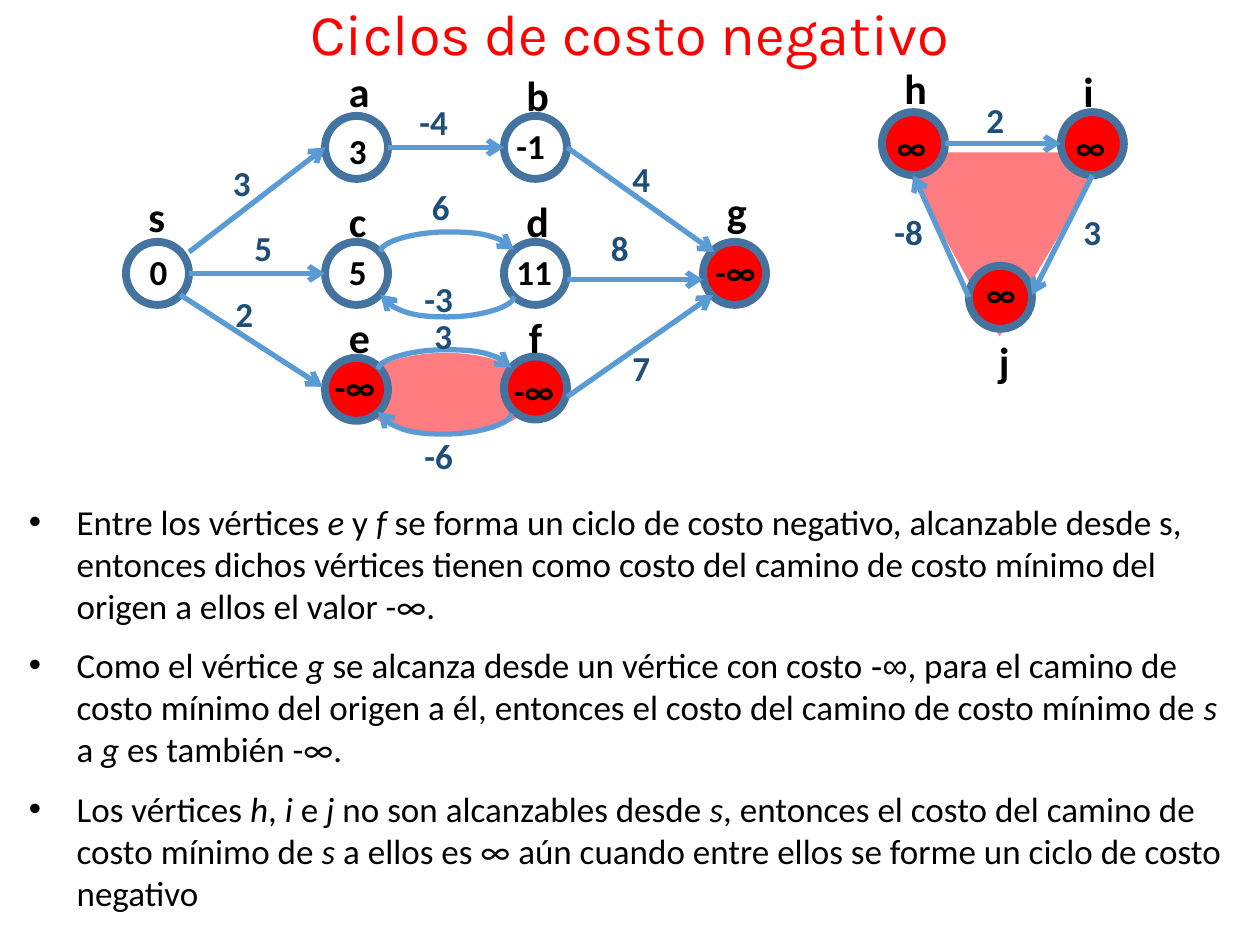
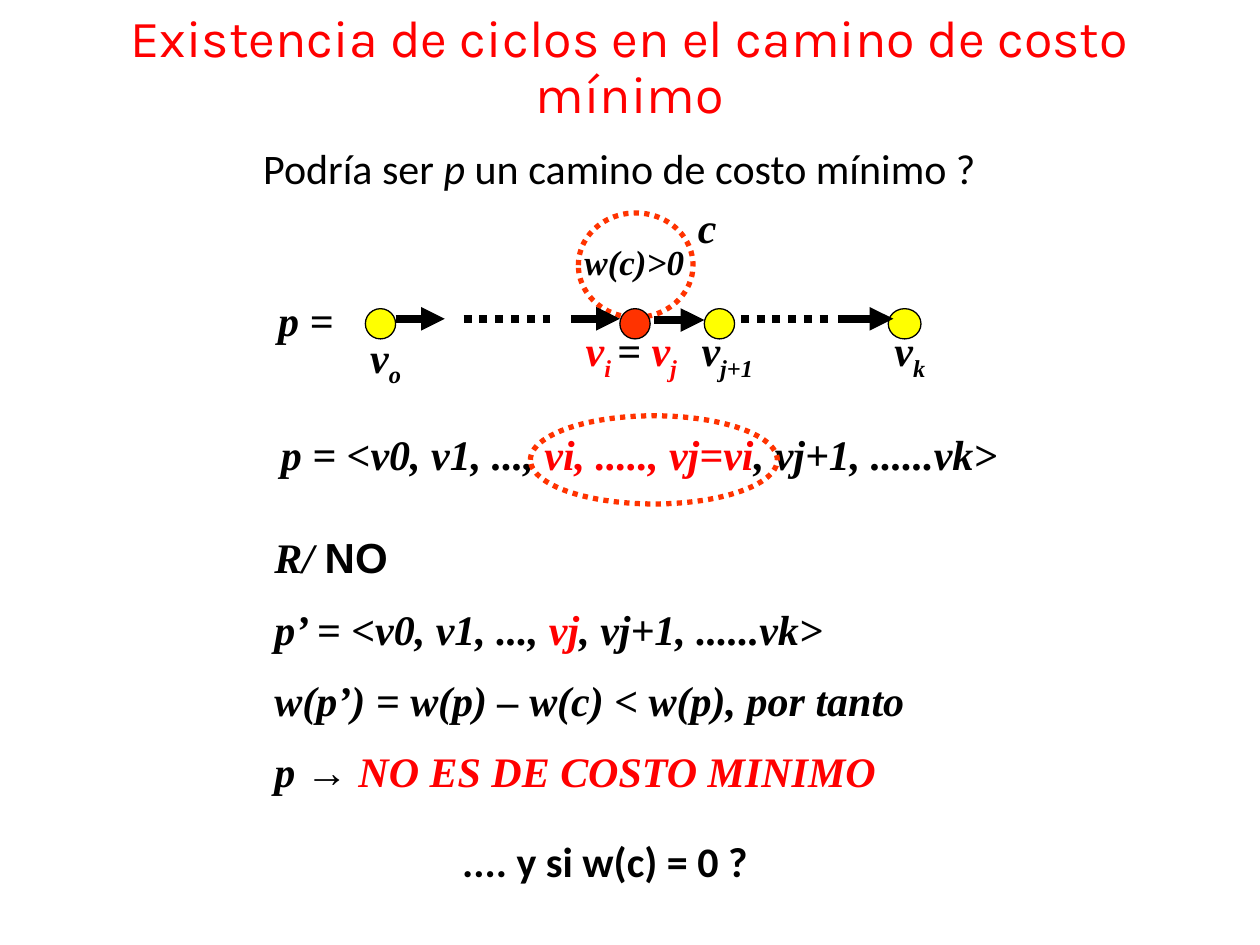
from dataclasses import dataclass

from lxml import etree
from pptx import Presentation
from pptx.dml.color import RGBColor
from pptx.enum.dml import MSO_LINE
from pptx.enum.shapes import MSO_CONNECTOR, MSO_SHAPE
from pptx.enum.text import MSO_ANCHOR, PP_ALIGN
from pptx.oxml.ns import qn
from pptx.util import Inches, Pt

OVAL = MSO_SHAPE.OVAL
TRIANGLE = MSO_SHAPE.ISOSCELES_TRIANGLE
STRAIGHT = MSO_CONNECTOR.STRAIGHT
CURVE = MSO_CONNECTOR.CURVE
DOTS = MSO_LINE.ROUND_DOT
CENTER = PP_ALIGN.CENTER
MIDDLE = MSO_ANCHOR.MIDDLE

COLUMNS, ROWS = 100, 75
VERTEX = 5
VALUE_BOX = (6.7, 4.4)
WEIGHT_BOX = (5, 4.4)
NAME_BOX = (6.7, 5)
ARC_SPAN, ARC_DRIFT = 10.6, 0.14


@dataclass(frozen=True)
class Theme:
    red: str = "FF0000"
    pink: str = "FF7C80"
    ring: str = "43739E"
    edge: str = "5B9BD5"
    weight: str = "1F4E79"
    black: str = "000000"
    yellow: str = "FFFF00"
    orange: str = "FF3300"
    title_font: str = "Karla"
    body_font: str = "Calibri"
    math_font: str = "Times New Roman"
    plain_font: str = "Arial"
    title: float = 33
    long_title: float = 29.7
    large: float = 24
    medium: float = 20


T = Theme()
ITALIC = {"italic": True}
RED = {"color": T.red}
SUB = {"sub": True}
RED_SUB = {**RED, **SUB}
BOLD = {"bold": True}
MATH = {"font": T.math_font, "bold": True, "italic": True}


class Deck:
    def __init__(self):
        self.prs = Presentation()
        self.prs.slide_width, self.prs.slide_height = Inches(10), Inches(7.5)
        self.s = None

    def slide(self, title, top, size):
        self.s = self.prs.slides.add_slide(self.prs.slide_layouts[6])
        tf = self.text((2.5, top, 95, 7.5), [[title]], size, pct=0,
                       font=T.title_font, color=T.red)
        tf.vertical_anchor = MIDDLE
        tf.paragraphs[0].alignment = CENTER
        tf.paragraphs[0].line_spacing = 0.9

    def x(self, columns):
        return round(self.prs.slide_width * columns / COLUMNS)

    def y(self, rows):
        return round(self.prs.slide_height * rows / ROWS)

    def box(self, left, top, width, height):
        return self.x(left), self.y(top), self.x(width), self.y(height)

    def stroke(self, line, color, width, dash=None):
        line.color.rgb = RGBColor.from_string(color)
        line.width = Pt(width)
        if dash:
            line.dash_style = dash

    def shape(self, kind, at, fill=None, stroke=None):
        sp = self.s.shapes.add_shape(kind, *self.box(*at))
        sp.shadow.inherit = False
        if fill:
            sp.fill.solid()
            sp.fill.fore_color.rgb = RGBColor.from_string(fill)
        else:
            sp.fill.background()
        if stroke:
            self.stroke(sp.line, *stroke)
        else:
            sp.line.fill.background()
        return sp

    def line(self, start, end, stroke, kind=STRAIGHT, **heads):
        c = self.s.shapes.add_connector(
            kind, self.x(start[0]), self.y(start[1]), self.x(end[0]), self.y(end[1]))
        self.stroke(c.line, *stroke)
        ln = c.element.spPr.find(qn("a:ln"))
        for name, head in heads.items():
            etree.SubElement(ln, qn(f"a:{name}"), type=head)
        etree.SubElement(c.element.spPr, qn("a:effectLst"))
        return c

    def arc(self, cx, cy, up, stroke):
        left, right = cx - ARC_DRIFT / 2, cx + ARC_DRIFT / 2
        top, bottom = cy - ARC_SPAN / 2, cy + ARC_SPAN / 2
        if up:
            start, end, turn, bulge, head = (right, bottom), (left, top), 90, 11, "tailEnd"
        else:
            start, end, turn, bulge, head = (right, top), (left, bottom), 270, 12.5, "headEnd"
        c = self.line(start, end, stroke, CURVE, **{head: "arrow"})
        spPr = c.element.spPr
        spPr.find(qn("a:xfrm")).set("rot", str(turn * 60000))
        geom = spPr.find(qn("a:prstGeom"))
        guides = geom.find(qn("a:avLst"))
        if guides is None:
            guides = etree.SubElement(geom, qn("a:avLst"))
        etree.SubElement(guides, qn("a:gd"), name="adj1", fmla=f"val {round(bulge * 100000)}")

    def run(self, p, text, size, font=T.body_font, color=T.black,
            bold=False, italic=False, sub=False):
        r = p.add_run()
        r.text = text
        r.font.size, r.font.name = Pt(size), font
        r.font.bold, r.font.italic = bold, italic
        r.font.color.rgb = RGBColor.from_string(color)
        if sub:
            r.font._element.set("baseline", "-25000")

    def text(self, at, paragraphs, size, pct=50, bullet=False, **style):
        tf = self.s.shapes.add_textbox(*self.box(*at)).text_frame
        tf.word_wrap = True
        for i, runs in enumerate(paragraphs):
            p = tf.add_paragraph() if i else tf.paragraphs[0]
            pPr = p._p.get_or_add_pPr()
            if pct:
                before = etree.SubElement(pPr, qn("a:spcBef"))
                etree.SubElement(before, qn("a:spcPct"), val=str(pct * 1000))
            if bullet:
                indent = Inches(0.38)
                pPr.set("marL", str(indent))
                pPr.set("indent", str(-indent))
                etree.SubElement(pPr, qn("a:buFont"), typeface=T.plain_font)
                etree.SubElement(pPr, qn("a:buChar"), char="•")
            for item in runs:
                words, change = (item, {}) if isinstance(item, str) else item
                self.run(p, words, size, **{**style, **change})
        return tf

    def label(self, at, box, text, size, color=T.black):
        self.text((*at, *box), [[text]], size, pct=0, color=color, bold=True)


def negative_cycles(deck):
    deck.slide("Ciclos de costo negativo", -0.8, T.title)
    deck.shape(OVAL, (28.3, 28, 14.1, 6.5), T.pink)
    area = deck.shape(TRIANGLE, (71.2, 12.1, 16.7, 14.6), T.pink)
    area.rotation = 180
    area.adjustments[0] = 0.513

    vertices = [
        ("s", (10, 19.2), (10.8, 14.6), "0", (10.9, 19.4)),
        ("a", (25.8, 9.2), (26.7, 4.7), "3", (26.7, 9.8)),
        ("b", (40, 9.2), (40.8, 5), "-1", (40, 9.4)),
        ("c", (25.8, 19.2), (26.7, 15), "5", (26.7, 19.4)),
        ("d", (40, 19.2), (40.8, 15), "11", (40, 19.4)),
        ("e", (25.8, 28.4), (26.7, 24.2), "-∞", (25.6, 28.5)),
        ("f", (40, 28.3), (41, 24.2), "-∞", (39.8, 28.8)),
        ("g", (55.8, 19.2), (56.7, 14.2), "-∞", (55.8, 19.4)),
        ("h", (70, 8.9), (70.8, 4.5), "∞", (70.2, 9.5)),
        ("i", (84.2, 8.9), (85, 4.7), "∞", (84.4, 9.5)),
        ("j", (76.9, 21.1), (78.3, 26.1), "∞", (77.3, 21.1)),
    ]
    for name, at, name_at, value, value_at in vertices:
        fill = T.red if "∞" in value else None
        deck.shape(OVAL, (*at, VERTEX, VERTEX), fill, (T.ring, 4.5))
        deck.label(value_at, VALUE_BOX, value, T.medium)
        deck.label(name_at, NAME_BOX, name, T.large)

    edge = (T.edge, 3)
    edges = [
        ((15, 20), (25.8, 11.7), "3", (17.5, 12.3)),
        ((15, 21.7), (25.8, 21.7), "5", (19.2, 17.5)),
        ((14.3, 23.4), (25.6, 30.7), "2", (17.7, 22.7)),
        ((30.8, 11.7), (40, 11.7), "-4", (32.3, 7.5)),
        ((45, 11.7), (56.7, 20), "4", (49.2, 12)),
        ((45, 22.2), (55.8, 22.2), "8", (47.5, 17.5)),
        ((45, 31.5), (56.6, 23.4), "7", (49.2, 27)),
        ((75, 11.4), (84.2, 11.4), "2", (77.3, 7.3)),
        ((86.7, 13.9), (81.9, 23.4), "3", (85, 16.2)),
        ((76.9, 23.6), (72.5, 13.9), "-8", (70, 16.2)),
    ]
    arcs = [
        (35.5, 19.9, True, "6", (33.3, 14.2)),
        (35.5, 23.45, False, "-3", (32.7, 21.5)),
        (35.3, 29.25, True, "3", (33.5, 24.5)),
        (35.3, 32.75, False, "-6", (32.7, 34)),
    ]
    for start, end, *_ in edges:
        deck.line(start, end, edge, tailEnd="arrow")
    for cx, cy, up, *_ in arcs:
        deck.arc(cx, cy, up, edge)
    for *_, weight, at in edges + arcs:
        deck.label(at, WEIGHT_BOX, weight, T.medium, T.weight)

    deck.text((1.3, 39.2, 97.8, 34.7), [
        ["Entre los vértices ", ("e", ITALIC), " y ", ("f", ITALIC),
         " se forma un ciclo de costo negativo, alcanzable desde s, entonces dichos "
         "vértices tienen como costo del camino de costo mínimo del origen a ellos "
         "el valor -∞."],
        ["Como el vértice ", ("g", ITALIC), " se alcanza desde un vértice con costo ",
         ("-∞", {"font": T.plain_font}),
         ", para el camino de costo mínimo del origen a él, entonces el costo del "
         "camino de costo mínimo de ", ("s", ITALIC), " a ", ("g", ITALIC),
         " es también -∞."],
        ["Los vértices ", ("h", ITALIC), ", ", ("i ", ITALIC), "e ", ("j", ITALIC),
         " no son alcanzables desde ", ("s", ITALIC),
         ", entonces el costo del camino de costo mínimo de ", ("s", ITALIC),
         " a ellos es ∞ aún cuando entre ellos se forme un ciclo de costo negativo"],
    ], T.medium, bullet=True)


def cycles_in_path(deck):
    deck.slide("Existencia de ciclos en el camino de costo mínimo", 1.7, T.long_title)
    cycle = (T.orange, 3, DOTS)
    deck.shape(OVAL, (45.9, 16.9, 9.1, 8.3), stroke=cycle)
    for left, width, fill in [(29, 2.4, T.yellow), (49.2, 2.4, T.orange),
                              (70.5, 2.6, T.yellow)]:
        deck.shape(OVAL, (left, 24.5, width, 2.4), fill, (T.black, 0.75))
    for start, end, y in [(31.4, 35.3, 25.3), (45.3, 49.2, 25.3),
                          (66.5, 70.9, 25.3), (51.9, 55.9, 25.4)]:
        deck.line((start, y), (end, y), (T.black, 4.5), tailEnd="triangle")
    for start in (36.8, 58.8):
        deck.line((start, 25.3), (start + 7.1, 25.3), (T.black, 4.5, DOTS))
    deck.shape(OVAL, (55.9, 24.5, 2.4, 2.4), T.yellow, (T.black, 0.75))

    texts = [
        ((28.4, 25.8, 8.7, 5), [["v", ("o", SUB)]], T.large, MATH),
        ((70, 25.3, 9.5, 5), [["v", ("k", SUB)]], T.large, MATH),
        ((21.1, 22.9, 8.7, 5), [["p ="]], T.large, MATH),
        ((54.4, 15.5, 8.7, 5), [["c"]], T.large, MATH),
        ((19.9, 10.8, 73.2, 5),
         [["Podría ser ", ("p", ITALIC), " un camino de costo mínimo ?"]], T.large, {}),
        ((45.4, 18.6, 13.4, 4.4), [["w(c)>0"]], T.medium, MATH),
        ((45.5, 25.3, 13.4, 5),
         [[("v", RED), ("i ", RED_SUB), "= ", ("v", RED), ("j", RED_SUB)]],
         T.large, MATH),
        ((54.7, 25.3, 8.7, 5), [["v", ("j+1", SUB)]], T.large, MATH),
        ((21.3, 33.5, 59.1, 5),
         [["p = <v0, v1, ..., ", ("vi, ....., vj=vi", RED), ", vj+1, ......vk>"]],
         T.large, MATH),
        ((20.8, 41.7, 66.1, 23.2), [
            ["R/ ", ("NO", {"font": T.plain_font, "italic": False})],
            ["p’ = <v0, v1, ..., ", ("vj", RED), ", vj+1, ......vk>"],
            ["w(p’) = w(p) – w(c) < w(p), por tanto"],
            ["p → ", ("NO ES DE COSTO MINIMO", RED)],
        ], T.large, MATH),
        ((35.7, 65.8, 41, 5), [[".... y si w(c) = 0 ?"]], T.large, BOLD),
    ]
    for at, paragraphs, size, style in texts:
        deck.text(at, paragraphs, size, **style)
    deck.shape(OVAL, (42.1, 33, 19.6, 7), stroke=cycle)


def main():
    deck = Deck()
    negative_cycles(deck)
    cycles_in_path(deck)
    deck.prs.save("out.pptx")


if __name__ == "__main__":
    main()
